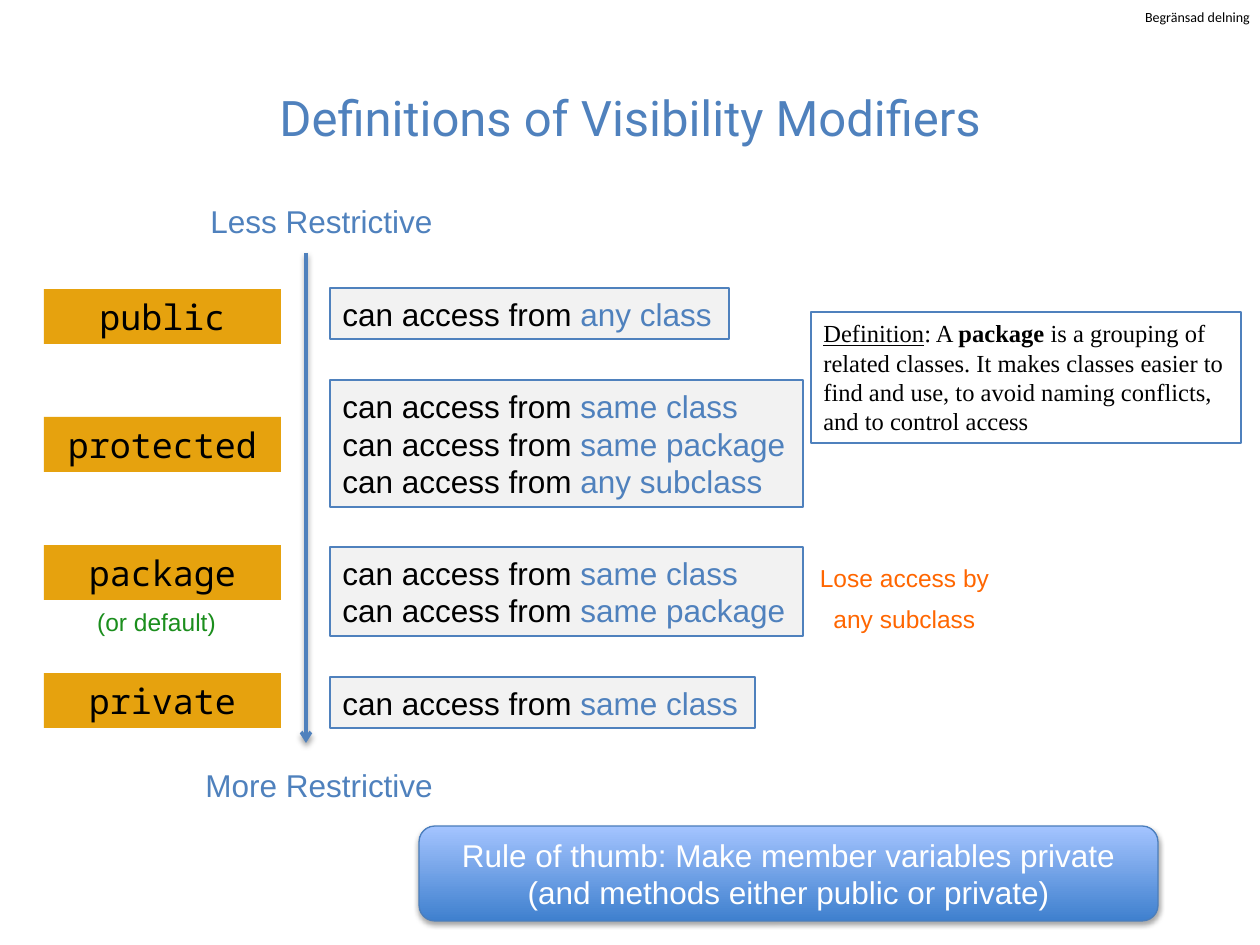
from dataclasses import dataclass

from lxml import etree
from pptx import Presentation
from pptx.dml.color import RGBColor
from pptx.enum.shapes import MSO_CONNECTOR, MSO_SHAPE
from pptx.enum.text import MSO_ANCHOR, PP_ALIGN
from pptx.oxml.ns import qn
from pptx.util import Emu, Pt

RECT, ROUNDED = MSO_SHAPE.RECTANGLE, MSO_SHAPE.ROUNDED_RECTANGLE
LEFT, CENTER = PP_ALIGN.LEFT, PP_ALIGN.CENTER
TOP, MIDDLE = MSO_ANCHOR.TOP, MSO_ANCHOR.MIDDLE
PX = 914400 / 126


@dataclass(frozen=True)
class Theme:
    blue: str = "4F81BD"
    black: str = "000000"
    white: str = "FFFFFF"
    amber: str = "E6A20E"
    pale: str = "F2F2F2"
    orange: str = "FF6600"
    green: str = "1B8E1D"
    rule_line: str = "4B7EBC"
    rule_bottom: str = "3F80CE"
    rule_top: str = "A4C4FF"
    body: str = "Arial"
    heading: str = "Roboto"
    code: str = "Noto Sans Mono"
    serif: str = "Times New Roman"
    label: str = "Calibri"
    title_size: int = 28
    code_size: int = 20
    body_size: int = 18
    note_size: int = 14
    label_size: int = 8


theme = Theme()

prs = Presentation()
prs.slide_width, prs.slide_height = Emu(round(1260 * PX)), Emu(round(945 * PX))
slide = prs.slides.add_slide(prs.slide_layouts[5])


def add_block(box, lines, size, font=theme.body, align=LEFT, anchor=TOP,
              fill=None, line=None, kind=None, wrap=True):
    """Add a text block; each line is a list of (text, colour) pairs."""
    left, top, width, height = [Emu(round(v * PX)) for v in box]
    if kind is None:
        block = slide.shapes.add_textbox(left, top, width, height)
    else:
        block = slide.shapes.add_shape(kind, left, top, width, height)
        block.shadow.inherit = False
        if fill:
            block.fill.solid()
            block.fill.fore_color.rgb = RGBColor.from_string(fill)
        else:
            block.fill.background()
        if line:
            block.line.color.rgb = RGBColor.from_string(line)
            block.line.width = Pt(0.75)
        else:
            block.line.fill.background()
    frame = block.text_frame
    frame.word_wrap = wrap
    frame.vertical_anchor = anchor
    for i, parts in enumerate(lines):
        paragraph = frame.add_paragraph() if i else frame.paragraphs[0]
        paragraph.alignment = align
        for text, color in parts:
            run = paragraph.add_run()
            run.text = text
            run.font.size = Pt(size)
            run.font.name = font
            run.font.color.rgb = RGBColor.from_string(color)
    return block


def add_shadow(shape, opacity):
    """Give a shape or connector a soft shadow falling straight down."""
    properties = shape._element.spPr
    effects = properties.find(qn("a:effectLst"))
    if effects is None:
        effects = etree.SubElement(properties, qn("a:effectLst"))
    shadow = etree.SubElement(effects, qn("a:outerShdw"), blurRad="40000",
                              dist="20000", dir="5400000", rotWithShape="0")
    color = etree.SubElement(shadow, qn("a:srgbClr"), val=theme.black)
    etree.SubElement(color, qn("a:alpha"), val=str(opacity * 1000))


# Sharing label in the top right corner
sharing = add_block((1145, 9, 109, 16), [[("Begränsad delning", theme.black)]],
                    theme.label_size, theme.label, wrap=False)
frame = sharing.text_frame
frame.margin_left = frame.margin_right = frame.margin_top = frame.margin_bottom = 0

# Title
title = slide.shapes.title
title.left, title.top, title.width, title.height = [
    Emu(round(v * PX)) for v in (63, 38, 1134, 158)]
title.text_frame.text = "Definitions of Visibility Modifiers"
title.text_frame.vertical_anchor = MIDDLE
title.text_frame.paragraphs[0].alignment = CENTER
title_font = title.text_frame.paragraphs[0].runs[0].font
title_font.size, title_font.name = Pt(theme.title_size), theme.heading
title_font.color.rgb = RGBColor.from_string(theme.blue)

# Modifier keywords, evenly spaced
for i, keyword in enumerate(["public", "protected", "package", "private"]):
    add_block((44, 289 + 128 * i, 237, 55), [[(keyword, theme.black)]],
              theme.code_size, theme.code, CENTER, fill=theme.amber, kind=RECT)

# Restriction axis with its two end labels
axis_x = round(306 * PX)
axis = slide.shapes.add_connector(MSO_CONNECTOR.STRAIGHT, axis_x, round(253 * PX),
                                  axis_x, round(743 * PX))
axis.line.color.rgb = RGBColor.from_string(theme.blue)
axis.line.width = Pt(2)
etree.SubElement(axis.line._get_or_add_ln(), qn("a:tailEnd"), type="arrow")
add_shadow(axis, 38)
for box, text in [((198, 196, 249, 51), "Less Restrictive"),
                  ((193, 760, 256, 51), "More Restrictive")]:
    add_block(box, [[(text, theme.blue)]], theme.body_size, wrap=False)

# What each modifier allows: top, width, height, scopes
access_rules = [
    (288, 399, 51, ["any class"]),
    (380, 473, 127, ["same class", "same package", "any subclass"]),
    (547, 473, 89, ["same class", "same package"]),
    (677, 425, 51, ["same class"]),
]
for top, width, height, scopes in access_rules:
    add_block((330, top, width, height),
              [[("can access from ", theme.black), (scope, theme.blue)]
               for scope in scopes],
              theme.body_size, anchor=MIDDLE, fill=theme.pale, line=theme.blue,
              kind=RECT, wrap=len(scopes) > 1)

# Notes on package access
lost_access = add_block((802, 545, 205, 94),
                        [[("Lose access by any subclass", theme.orange)]],
                        theme.note_size, align=CENTER)
lost_access.text_frame.paragraphs[0].line_spacing = 1.4
add_block((54, 601, 205, 43), [[("(or default)", theme.green)]],
          theme.note_size, align=CENTER)

# Rule of thumb
rule = add_block((419, 826, 739, 95),
                 [[("Rule of thumb: Make member variables private "
                    "(and methods either public or private)", theme.white)]],
                 theme.body_size, align=CENTER, anchor=MIDDLE,
                 line=theme.rule_line, kind=ROUNDED)
rule.fill.gradient()
rule.fill.gradient_angle = 90
for stop, color in zip(rule.fill.gradient_stops, (theme.rule_bottom, theme.rule_top)):
    stop.color.rgb = RGBColor.from_string(color)
add_shadow(rule, 35)

# Definition of a package
definition_parts = ["Definition", ": A ", "package",
                    " is a grouping of related classes. It makes classes easier to "
                    "find and use, to avoid naming conflicts, and to control access"]
definition = add_block((811, 312, 430, 131),
                       [[(part, theme.black) for part in definition_parts]],
                       theme.note_size, theme.serif, line=theme.blue, kind=RECT)
definition_runs = definition.text_frame.paragraphs[0].runs
definition_runs[0].font.underline = True
definition_runs[2].font.bold = True

prs.save("out.pptx")
